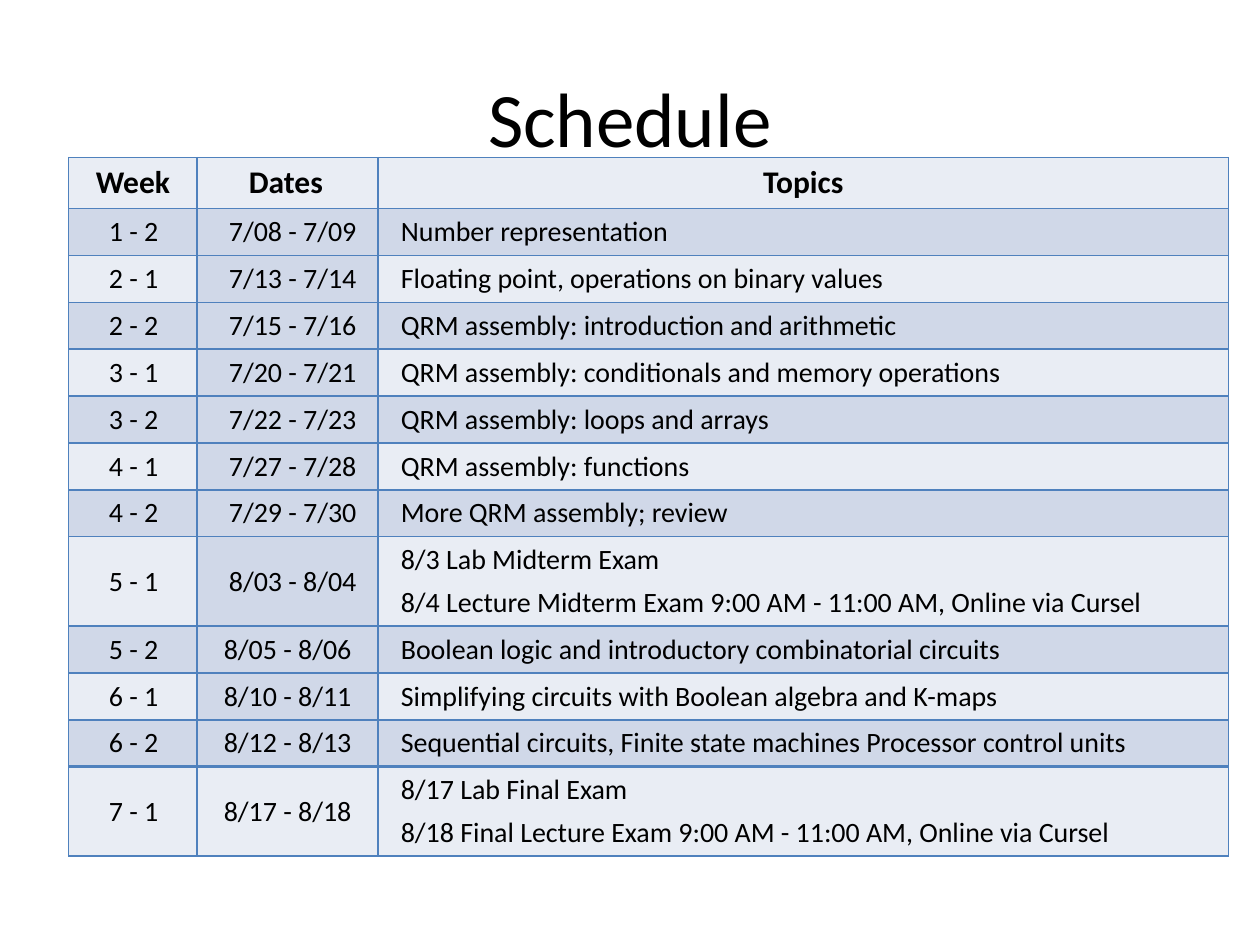
import pptx
import pptx.dml.color
import pptx.enum.text
import pptx.oxml
import pptx.oxml.ns
import pptx.util

Pt = pptx.util.Pt
ALIGN = pptx.enum.text.PP_ALIGN
MIDDLE = pptx.enum.text.MSO_ANCHOR.MIDDLE

FONT = "Calibri"
BLACK = "000000"
BORDER = "4F81BD"
LIGHT = "E9EDF4"
DARK = "D0D8E8"

COLUMN_WIDTHS = [73.4, 103.4, 486]
HEADER_HEIGHT = 29.2
LINE_HEIGHT = 26.8
EXTRA_LINE_HEIGHT = 24.3
FIRST_UNINDENTED_DATE = 9

HEADINGS = ["Week", "Dates", "Topics"]
SCHEDULE = [
    ("1 - 2", "7/08 - 7/09", ["Number representation"]),
    ("2 - 1", "7/13 - 7/14", ["Floating point, operations on binary values"]),
    ("2 - 2", "7/15 - 7/16", ["QRM assembly: introduction and arithmetic"]),
    ("3 - 1", "7/20 - 7/21", ["QRM assembly: conditionals and memory operations"]),
    ("3 - 2", "7/22 - 7/23", ["QRM assembly: loops and arrays"]),
    ("4 - 1", "7/27 - 7/28", ["QRM assembly: functions"]),
    ("4 - 2", "7/29 - 7/30", ["More QRM assembly; review"]),
    ("5 - 1", "8/03 - 8/04", [
        "8/3 Lab Midterm Exam",
        "8/4 Lecture Midterm Exam 9:00 AM - 11:00 AM, Online via Cursel"]),
    ("5 - 2", "8/05 - 8/06", ["Boolean logic and introductory combinatorial circuits"]),
    ("6 - 1", "8/10 - 8/11", ["Simplifying circuits with Boolean algebra and K-maps"]),
    ("6 - 2", "8/12 - 8/13", [
        "Sequential circuits, Finite state machines Processor control units"]),
    ("7 - 1", "8/17 - 8/18", [
        "8/17 Lab Final Exam",
        "8/18 Final Lecture Exam 9:00 AM - 11:00 AM, Online via Cursel"]),
]


def color(value):
    return pptx.dml.color.RGBColor.from_string(value)


def style_paragraph(paragraph, text, size, alignment, bold=False):
    paragraph.text = text
    paragraph.alignment = alignment
    paragraph.font.name = FONT
    paragraph.font.size = Pt(size)
    paragraph.font.bold = bold
    paragraph.font.color.rgb = color(BLACK)


def add_title(slide, text):
    shape = slide.shapes.add_textbox(Pt(36), Pt(21.6), Pt(648), Pt(90))
    shape.text_frame.word_wrap = True
    shape.text_frame.vertical_anchor = MIDDLE
    style_paragraph(shape.text_frame.paragraphs[0], text, 44, ALIGN.CENTER)


def set_borders(cell, top_width):
    properties = cell._tc.get_or_add_tcPr()
    widths = {"lnL": 1, "lnR": 1, "lnT": top_width, "lnB": 1}
    for position, (side, width) in enumerate(widths.items()):
        line = pptx.oxml.parse_xml(
            f'<a:{side} {pptx.oxml.ns.nsdecls("a")} w="{Pt(width)}">'
            f'<a:solidFill><a:srgbClr val="{BORDER}"/></a:solidFill></a:{side}>')
        properties.insert(position, line)


def fill_cell(cell, lines, fill, size=16, alignment=ALIGN.CENTER,
              indent=0, bold=False, top_width=1):
    cell.vertical_anchor = MIDDLE
    cell.fill.solid()
    cell.fill.fore_color.rgb = color(fill)
    set_borders(cell, top_width)
    frame = cell.text_frame
    for index, text in enumerate(lines):
        paragraph = frame.add_paragraph() if index else frame.paragraphs[0]
        style_paragraph(paragraph, text, size, alignment, bold)
        paragraph.space_before = Pt(4.8 if index else 0)
        properties = paragraph._p.get_or_add_pPr()
        properties.set("marL", str(Pt(indent)))
        properties.set("indent", "0")


def add_schedule(slide):
    heights = [HEADER_HEIGHT] + [
        LINE_HEIGHT + EXTRA_LINE_HEIGHT * (len(topics) - 1)
        for _, _, topics in SCHEDULE]
    table = slide.shapes.add_table(
        len(heights), len(COLUMN_WIDTHS), Pt(39.3), Pt(90),
        Pt(sum(COLUMN_WIDTHS)), Pt(sum(heights))).table
    table.first_row = False
    table.horz_banding = False
    for column, width in zip(table.columns, COLUMN_WIDTHS):
        column.width = Pt(width)
    for row, height in zip(table.rows, heights):
        row.height = Pt(height)

    for column, heading in enumerate(HEADINGS):
        is_dates = heading == "Dates"
        fill_cell(table.cell(0, column), [heading], LIGHT, size=18, bold=True,
                  alignment=ALIGN.LEFT if is_dates else ALIGN.CENTER,
                  indent=22.3 if is_dates else 0)

    for row, (week, dates, topics) in enumerate(SCHEDULE, start=1):
        is_last = row == len(SCHEDULE)
        band = DARK if row % 2 else LIGHT
        top_width = 2 if is_last else 1
        fill_cell(table.cell(row, 0), [week], band, indent=0.7, top_width=top_width)
        fill_cell(table.cell(row, 1), [dates], LIGHT if is_last else DARK,
                  indent=5.8 if row < FIRST_UNINDENTED_DATE else 0,
                  top_width=top_width)
        fill_cell(table.cell(row, 2), topics, band, alignment=ALIGN.LEFT,
                  indent=5.8, top_width=top_width)


def main():
    presentation = pptx.Presentation()
    presentation.slide_width = Pt(720)
    presentation.slide_height = Pt(540)
    slide = presentation.slides.add_slide(presentation.slide_layouts[6])
    add_title(slide, "Schedule")
    add_schedule(slide)
    presentation.save("out.pptx")


if __name__ == "__main__":
    main()
